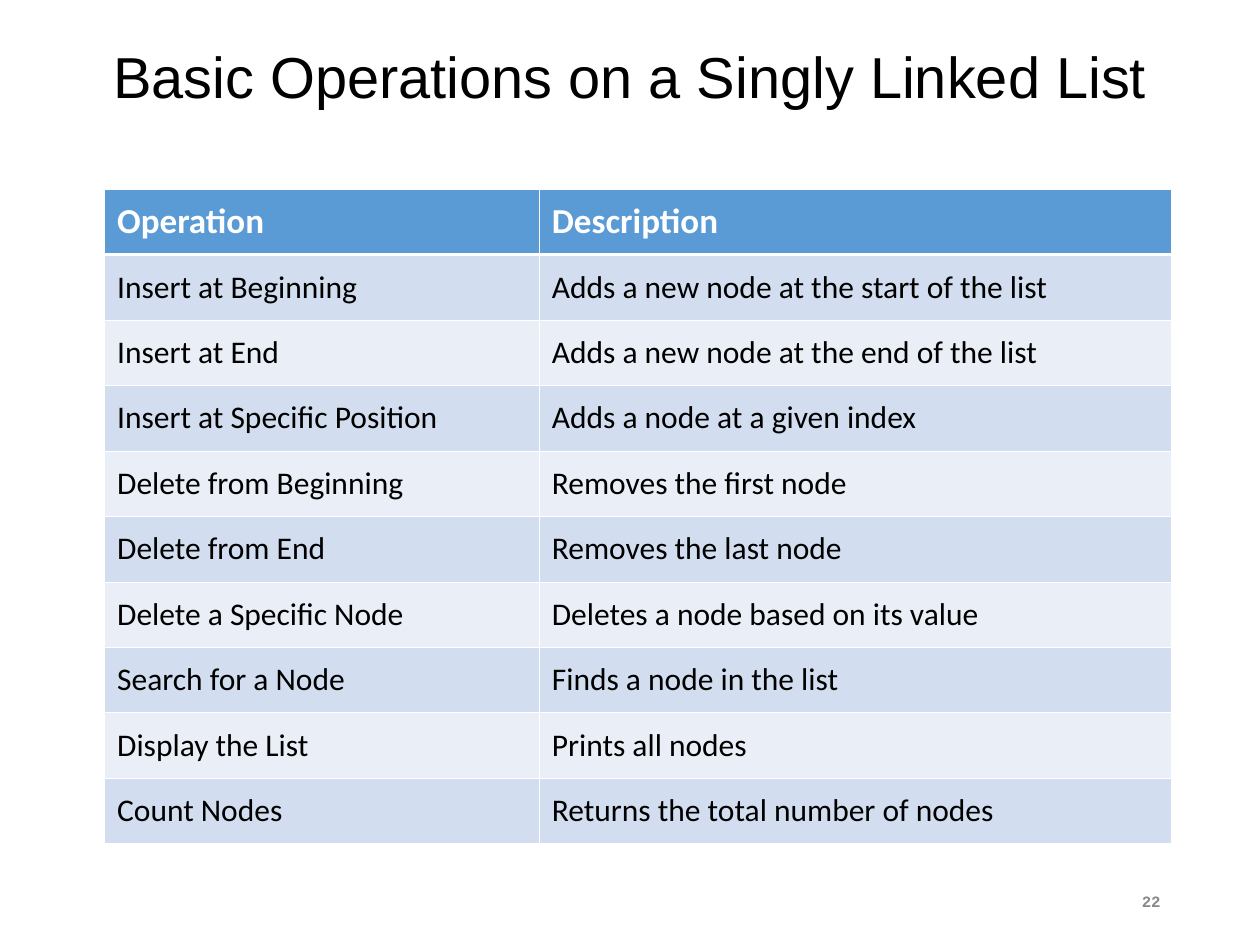
from lxml import etree
from pptx import Presentation
from pptx import util as u
from pptx.dml.color import RGBColor
from pptx.enum import text
from pptx.oxml import ns

OPERATIONS = [
    ("Operation", "Description"),
    ("Insert at Beginning", "Adds a new node at the start of the list"),
    ("Insert at End", "Adds a new node at the end of the list"),
    ("Insert at Specific Position", "Adds a node at a given index"),
    ("Delete from Beginning", "Removes the first node"),
    ("Delete from End", "Removes the last node"),
    ("Delete a Specific Node", "Deletes a node based on its value"),
    ("Search for a Node", "Finds a node in the list"),
    ("Display the List", "Prints all nodes"),
    ("Count Nodes", "Returns the total number of nodes"),
]


def colour(value):
    return RGBColor.from_string(value)


def write(frame, words, font="Calibri", size=18, ink="000000", bold=False,
          align=text.PP_ALIGN.LEFT, spacing=1.0):
    para = frame.paragraphs[0]
    para.alignment = align
    para.line_spacing = spacing
    span = para.add_run()
    span.text = words
    span.font.name = font
    span.font.size = u.Pt(size)
    span.font.bold = bold
    span.font.color.rgb = colour(ink)


class Page:
    header = "5B9BD5"
    bands = ("EAEFF7", "D2DEEF")
    rule = "FFFFFF"
    thin, thick = 0.45, 1.47

    def __init__(self, deck):
        self.slide = deck.slides.add_slide(deck.slide_layouts[6])

    def label(self, left, top, width, height, words, **style):
        box = self.slide.shapes.add_textbox(
            u.Inches(left), u.Inches(top), u.Inches(width), u.Inches(height))
        frame = box.text_frame
        frame.word_wrap = True
        frame.vertical_anchor = text.MSO_ANCHOR.MIDDLE
        write(frame, words, **style)

    def border(self, cell, side, width):
        properties = cell._tc.get_or_add_tcPr()
        line = etree.SubElement(properties, ns.qn(f"a:ln{side}"), w=str(u.Pt(width)))
        fill = etree.SubElement(line, ns.qn("a:solidFill"))
        etree.SubElement(fill, ns.qn("a:srgbClr"), val=self.rule)

    def table(self, left, top, widths, row_height, rows):
        grid = self.slide.shapes.add_table(
            len(rows), len(widths), u.Inches(left), u.Inches(top),
            u.Inches(sum(widths)), u.Inches(row_height * len(rows))).table
        for column, width in zip(grid.columns, widths):
            column.width = u.Inches(width)
        for index, row in enumerate(rows):
            grid.rows[index].height = u.Inches(row_height)
            for position, words in enumerate(row):
                self.cell(grid.cell(index, position), index, words)

    def cell(self, cell, index, words):
        heading = index == 0
        cell.vertical_anchor = text.MSO_ANCHOR.MIDDLE
        for side in "LRTB":
            under_heading = (index, side) in ((0, "B"), (1, "T"))
            self.border(cell, side, self.thick if under_heading else self.thin)
        cell.fill.solid()
        cell.fill.fore_color.rgb = colour(self.header if heading else self.bands[index % 2])
        write(cell.text_frame, words, size=20 if heading else 18,
              ink="FFFFFF" if heading else "000000", bold=heading)


def main():
    deck = Presentation()
    deck.slide_width, deck.slide_height = u.Inches(10), u.Inches(7.5)
    page = Page(deck)
    page.label(7.06, 6.95, 2.25, 0.4, "22", font="Courier New", size=9,
               ink="898989", bold=True, align=text.PP_ALIGN.RIGHT)
    page.label(0.5, 0.24, 9, 0.79, "Basic Operations on a Singly Linked List",
               font="Arial", size=33, align=text.PP_ALIGN.CENTER, spacing=0.9)
    page.table(0.83, 1.5, (3.45, 5.02), 0.52, OPERATIONS)
    deck.save("out.pptx")


if __name__ == "__main__":
    main()
